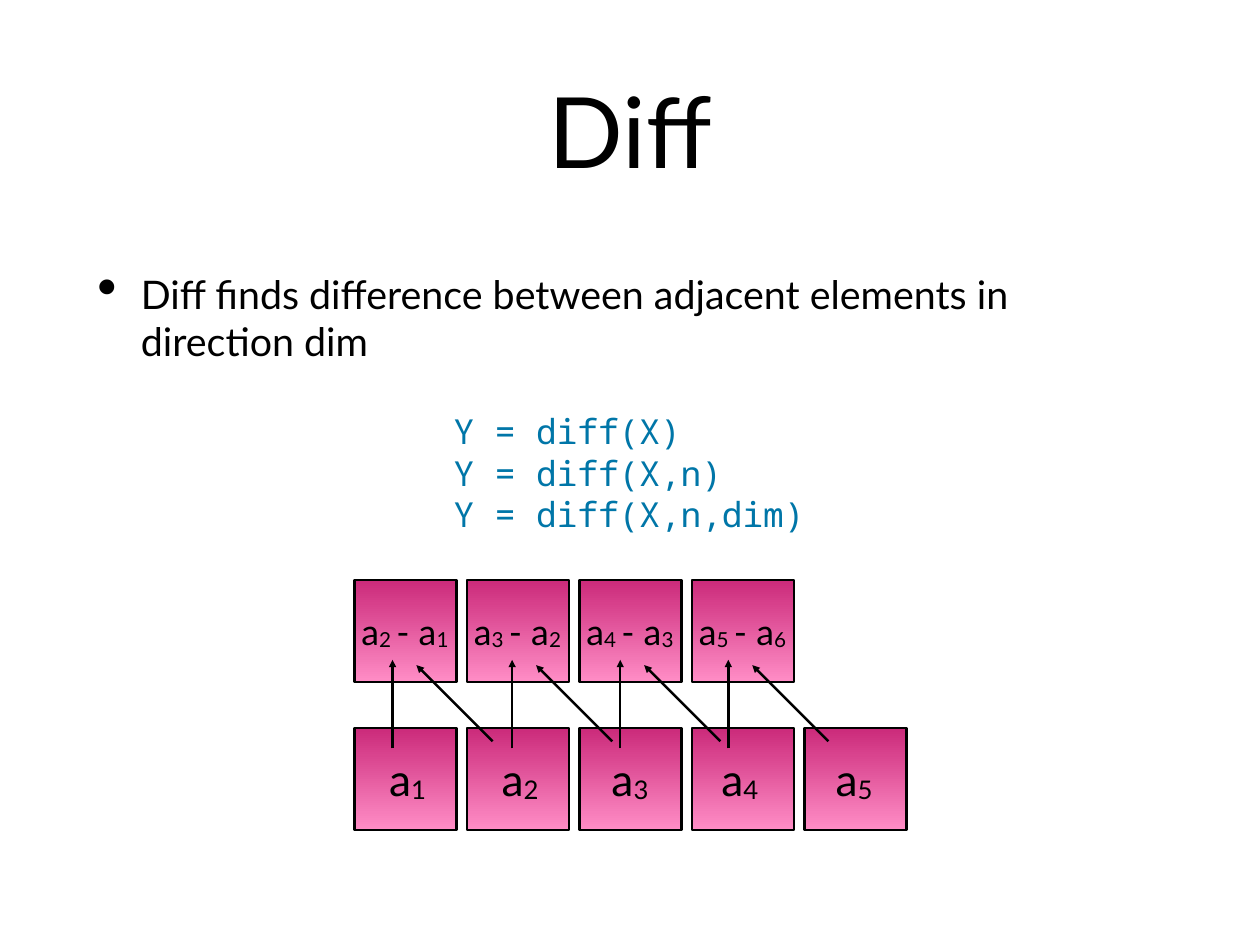
import pptx
import pptx.util
import pptx.dml.color
import pptx.enum.shapes
import pptx.enum.text
import pptx.oxml
import pptx.oxml.ns

Inches = pptx.util.Inches
Pt = pptx.util.Pt
CENTER = pptx.enum.text.PP_ALIGN.CENTER
LEFT = pptx.enum.text.PP_ALIGN.LEFT
BLACK = "000000"
CELL_SIZE = 1.15
CELL_STEP = 1.27


def color(value):
    return pptx.dml.color.RGBColor.from_string(value)


def add_element(parent, tag, **attributes):
    element = pptx.oxml.parse_xml(f"<{tag} {pptx.oxml.ns.nsdecls('a')}/>")
    for name, value in attributes.items():
        element.set(name, value)
    parent.append(element)


def format_frame(text_frame, wrap=True):
    text_frame.word_wrap = wrap
    text_frame.auto_size = pptx.enum.text.MSO_AUTO_SIZE.NONE
    text_frame.vertical_anchor = pptx.enum.text.MSO_ANCHOR.MIDDLE
    text_frame.margin_left = text_frame.margin_right = Inches(0.06)
    text_frame.margin_top = text_frame.margin_bottom = Inches(0.06)


def format_font(font, size, name="Lato", value=BLACK):
    font.size = Pt(size)
    font.name = name
    font.color.rgb = color(value)


def add_text_box(slide, box, wrap=True):
    shape = slide.shapes.add_textbox(*map(Inches, box))
    format_frame(shape.text_frame, wrap)
    return shape.text_frame


def add_title(slide, box):
    title = slide.shapes.title
    title.left, title.top, title.width, title.height = map(Inches, box)
    title.text_frame.text = "Diff"
    format_frame(title.text_frame)
    paragraph = title.text_frame.paragraphs[0]
    paragraph.alignment = CENTER
    format_font(paragraph.runs[0].font, 80)


def add_description(slide, box):
    text_frame = add_text_box(slide, box)
    text_frame.text = "Diff finds difference between adjacent elements in direction dim"
    paragraph = text_frame.paragraphs[0]
    properties = paragraph._p.get_or_add_pPr()
    properties.set("marL", str(Inches(0.49)))
    properties.set("indent", str(-Inches(0.49)))
    add_element(properties, "a:buSzPct", val="145000")
    add_element(properties, "a:buChar", char="•")
    format_font(paragraph.runs[0].font, 32)


def add_code(slide, box):
    text_frame = add_text_box(slide, box, wrap=False)
    text_frame.text = "Y = diff(X)\nY = diff(X,n)\nY = diff(X,n,dim)"
    for paragraph in text_frame.paragraphs:
        paragraph.alignment = LEFT
        format_font(paragraph.runs[0].font, 28, "Noto Sans Mono", "0076A8")


def add_cells(slide, left, top, count):
    for index in range(count):
        cell = slide.shapes.add_shape(
            pptx.enum.shapes.MSO_SHAPE.RECTANGLE,
            Inches(left + index * CELL_STEP), Inches(top),
            Inches(CELL_SIZE), Inches(CELL_SIZE))
        cell.shadow.inherit = False
        cell.fill.gradient()
        cell.fill.gradient_angle = 270
        for stop, value in zip(cell.fill.gradient_stops, ("CB2A7A", "FF8DC6")):
            stop.color.rgb = color(value)
        cell.line.color.rgb = color(BLACK)
        cell.line.width = Pt(2)


def add_label(slide, box, pieces, size, wrap=True):
    paragraph = add_text_box(slide, box, wrap).paragraphs[0]
    paragraph.alignment = CENTER
    for index, piece in enumerate(pieces):
        run = paragraph.add_run()
        run.text = piece
        format_font(run.font, size)
        if index % 2:
            run._r.get_or_add_rPr().set("baseline", "-6000")


def add_arrow(slide, start, end):
    arrow = slide.shapes.add_connector(
        pptx.enum.shapes.MSO_CONNECTOR.STRAIGHT, *map(Inches, start + end))
    arrow.line.color.rgb = color(BLACK)
    arrow.line.width = Pt(2)
    add_element(arrow.line._get_or_add_ln(), "a:tailEnd", type="triangle")
    add_element(arrow._element.spPr, "a:effectLst")


def add_differences(slide, left, top):
    add_cells(slide, left, top, 4)
    for index, (first, second) in enumerate(("21", "32", "43", "56")):
        box = (left - 0.01 + index * CELL_STEP, top + 0.24, 1.16, 0.67)
        add_label(slide, box, ("a", first + " ", "- a", second), 29, wrap=False)


def add_elements(slide, left, top):
    add_cells(slide, left, top, 5)
    for number, offset in enumerate((0.15, 1.42, 2.66, 3.9, 5.19), 1):
        add_label(slide, (left + offset, top - 0.05, 0.9, 1.25), ("a", str(number)), 36)


def add_arrows(slide, left, top):
    for offset in (0.43, 1.78, 3, 4.22):
        x = left + offset
        add_arrow(slide, (x + 1.13, top + 0.92), (x + 0.27, top + 0.06))
        add_arrow(slide, (x, top + 1), (x, top))


def main():
    presentation = pptx.Presentation()
    presentation.slide_width = Inches(14.22)
    presentation.slide_height = Inches(10.67)
    slide = presentation.slides.add_slide(presentation.slide_layouts.get_by_name("Title Only"))
    add_title(slide, (1.04, 0.28, 12.14, 2.36))
    add_description(slide, (1.04, 2.84, 12.14, 1.48))
    add_code(slide, (5.06, 4.59, 4.11, 1.49))
    add_differences(slide, 4, 6.55)
    add_elements(slide, 4, 8.22)
    add_arrows(slide, 4, 7.45)
    presentation.save("out.pptx")


if __name__ == "__main__":
    main()
